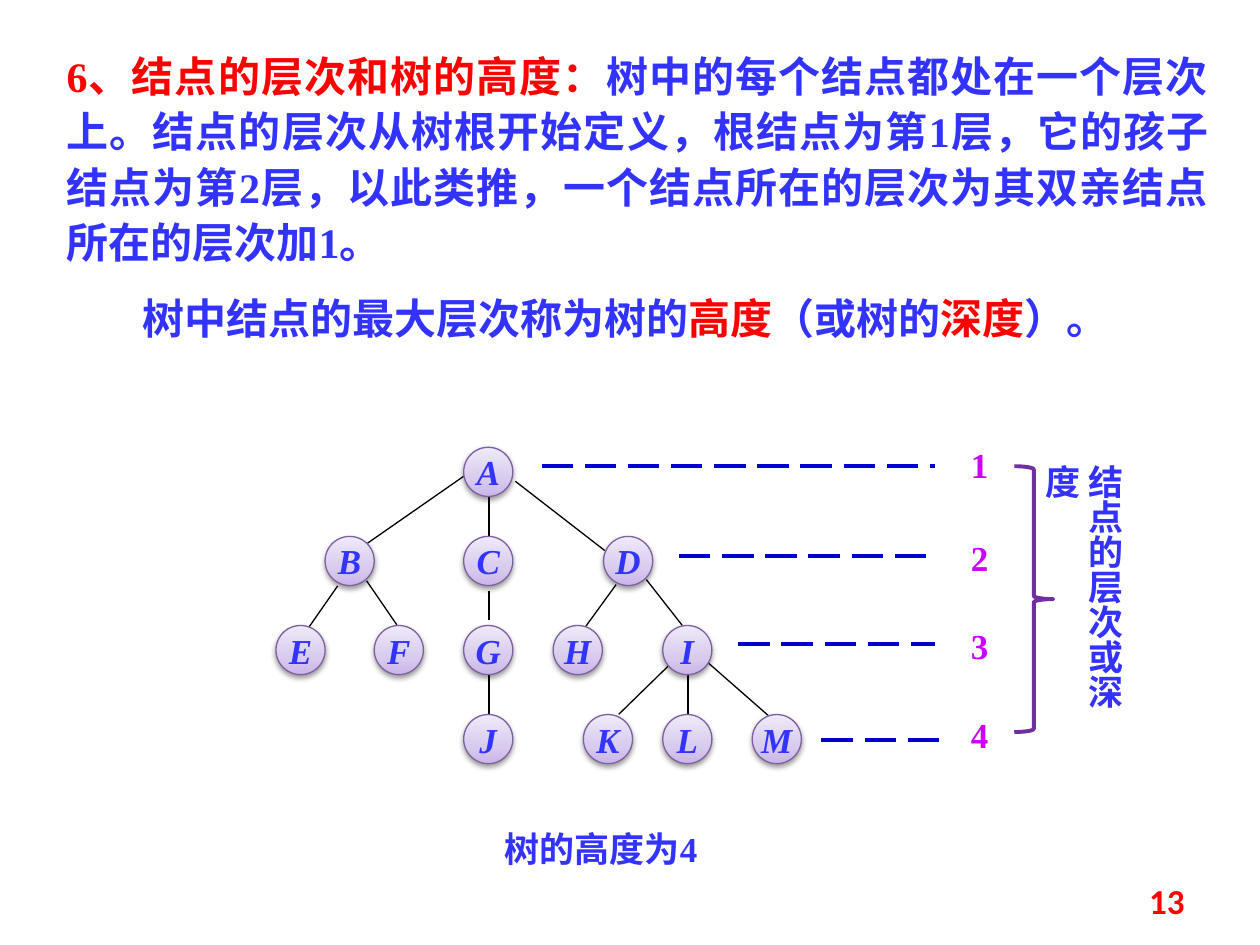
from copy import deepcopy

from lxml import etree
from pptx import Presentation
from pptx.dml.color import RGBColor
from pptx.enum.dml import MSO_LINE
from pptx.enum.shapes import MSO_CONNECTOR, MSO_SHAPE
from pptx.enum.text import MSO_ANCHOR, PP_ALIGN
from pptx.oxml.ns import qn
from pptx.util import Inches, Pt

STRAIGHT = MSO_CONNECTOR.STRAIGHT
ELLIPSE, BRACE = MSO_SHAPE.OVAL, MSO_SHAPE.RIGHT_BRACE
LONG_DASH = MSO_LINE.LONG_DASH
TOP, MIDDLE = MSO_ANCHOR.TOP, MSO_ANCHOR.MIDDLE
CENTER, RIGHT, JUSTIFY, LEFT = PP_ALIGN.CENTER, PP_ALIGN.RIGHT, PP_ALIGN.JUSTIFY, PP_ALIGN.LEFT

RED = RGBColor(0xFF, 0x00, 0x00)
BLUE = RGBColor(0x33, 0x33, 0xFF)
DASH_BLUE = RGBColor(0x00, 0x00, 0xCC)
MAGENTA = RGBColor(0xCC, 0x00, 0xFF)
BRACE_PURPLE = RGBColor(0x70, 0x30, 0xA0)
NODE_EDGE = RGBColor(0x7D, 0x60, 0xA0)
BLACK = RGBColor(0x00, 0x00, 0x00)
NODE_GRADIENT = [(0, RGBColor(0xC9, 0xB5, 0xE8)), (0.35, RGBColor(0xD8, 0xCB, 0xEE)),
                 (1, RGBColor(0xF0, 0xEA, 0xF9))]

SERIF, CJK = "Times New Roman", "Noto Sans CJK SC"
BODY = {"name": SERIF, "size": Pt(24), "bold": True}
LABEL = {"name": SERIF, "size": Pt(20), "bold": True}
NODE = {**LABEL, "italic": True}
VERTICAL = {**LABEL, "name": CJK}
PAGE = {"name": "Calibri", "size": Pt(20), "bold": True}

# Content
DEFINITION = [
    [("6、结点的层次和树的高度：", RED),
     ("树中的每个结点都处在一个层次上。结点的层次从树根开始定义，根结点为第1层，"
      "它的孩子结点为第2层，以此类推，一个结点所在的层次为其双亲结点所在的层次加1。", BLUE)],
    [("树中结点的最大层次称为树的", BLUE), ("高度", RED), ("（或树的", BLUE),
     ("深度", RED), ("）。", BLUE)],
]
TREE_LEVELS = [  # node name: left edge
    {"A": 3.68},
    {"B": 2.58, "C": 3.68, "D": 4.79},
    {"E": 2.19, "F": 2.97, "G": 3.68, "H": 4.39, "I": 5.26},
    {"J": 3.68, "K": 4.63, "L": 5.26, "M": 5.97},
]
BRANCHES = {  # parent and child: start, end
    "AB": (3.68, 3.78, 2.89, 4.33), "AC": (3.88, 3.94, 3.88, 4.26),
    "AD": (4.09, 3.82, 4.80, 4.37), "BE": (2.68, 4.65, 2.45, 4.98),
    "BF": (2.91, 4.61, 3.15, 4.96), "CG": (3.88, 4.69, 3.88, 4.92),
    "DH": (4.89, 4.64, 4.65, 4.97), "DI": (5.13, 4.60, 5.42, 4.97),
    "GJ": (3.88, 5.36, 3.88, 5.67), "IK": (5.31, 5.28, 4.91, 5.67),
    "IL": (5.46, 5.36, 5.46, 5.67), "IM": (5.62, 5.26, 6.11, 5.69),
}
LEVEL_GUIDES = [  # label top, dash start, dash end, dash height
    (3.47, 4.30, 7.42, 3.70), (4.21, 5.39, 7.42, 4.41),
    (4.91, 5.86, 7.42, 5.11), (5.61, 6.52, 7.50, 5.87),
]
TREE_TOP, LEVEL_STEP, NODE_SIZE = 3.55, 0.707, 0.39

prs = Presentation()
prs.slide_width, prs.slide_height = Inches(10), Inches(7.5)
slide = prs.slides.add_slide(prs.slide_layouts[6])
shapes = slide.shapes


def add_run(paragraph, text, color, style):
    run = paragraph.add_run()
    run.text = text
    run.font.color.rgb = color
    for attribute, value in style.items():
        setattr(run.font, attribute, value)
    etree.SubElement(run.font._element, qn("a:ea"), typeface=CJK)


def add_text(box, paragraphs, style, align=LEFT, anchor=TOP):
    """Add a text box; paragraphs are lists of (text, colour)."""
    frame = shapes.add_textbox(*map(Inches, box)).text_frame
    frame.word_wrap = True
    frame.vertical_anchor = anchor
    for index, runs in enumerate(paragraphs):
        paragraph = frame.add_paragraph() if index else frame.paragraphs[0]
        paragraph.alignment = align
        for text, color in runs:
            add_run(paragraph, text, color, style)
    return frame


def add_line(ends, color, width, dash=None):
    line = shapes.add_connector(STRAIGHT, *map(Inches, ends))
    line.line.color.rgb = color
    line.line.width = Pt(width)
    if dash:
        line.line.dash_style = dash
    etree.SubElement(line._element.spPr, qn("a:effectLst"))


def add_node(name, left, top):
    node = shapes.add_shape(ELLIPSE, *map(Inches, (left, top, NODE_SIZE, NODE_SIZE)))
    node.fill.gradient()
    node.fill.gradient_angle = 90
    stop_list = node._element.spPr.find(".//" + qn("a:gsLst"))
    stop_list.append(deepcopy(stop_list[-1]))
    for stop, (position, color) in zip(node.fill.gradient_stops, NODE_GRADIENT):
        stop.position = position
        stop.color.rgb = color
    node.line.color.rgb = NODE_EDGE
    node.line.width = Pt(0.75)
    # Soft shadow below the node
    node.shadow.inherit = False
    effects = node._element.spPr.find(qn("a:effectLst"))
    shadow = etree.SubElement(effects, qn("a:outerShdw"), blurRad=str(Pt(3.1)),
                              dist=str(Pt(1.6)), dir="5400000", rotWithShape="0")
    tint = etree.SubElement(shadow, qn("a:srgbClr"), val="000000")
    etree.SubElement(tint, qn("a:alpha"), val="38000")
    frame = node.text_frame
    frame.word_wrap = False
    frame.vertical_anchor = MIDDLE
    frame.paragraphs[0].alignment = CENTER
    add_run(frame.paragraphs[0], name, BLUE, NODE)


# Definition text
definition = add_text((0.43, 0.31, 9.26, 2.52), DEFINITION, BODY, JUSTIFY)
for paragraph in definition.paragraphs:
    paragraph.line_spacing = 1.1
height_sentence = definition.paragraphs[1]
height_sentence.space_before = Pt(12)
height_sentence._p.get_or_add_pPr().set("indent", str(Inches(0.6)))

# Tree
for ends in BRANCHES.values():
    add_line(ends, BLACK, 0.75)
for depth, level in enumerate(TREE_LEVELS):
    for name, left in level.items():
        add_node(name, left, TREE_TOP + depth * LEVEL_STEP)

# Level numbers and dashed guides
for number, (top, start, end, height) in enumerate(LEVEL_GUIDES, 1):
    add_text((7.58, top, 0.39, 0.43), [[(str(number), MAGENTA)]], LABEL, CENTER)
    add_line((start, height, end, height), DASH_BLUE, 2.25, LONG_DASH)

# Caption, brace with vertical label, page number
add_text((3.44, 6.52, 2.66, 0.44), [[("树的高度为4", BLUE)]], LABEL, CENTER)
brace = shapes.add_shape(BRACE, *map(Inches, (8.05, 3.7, 0.31, 2.11)))
brace.fill.background()
brace.line.color.rgb = BRACE_PURPLE
brace.line.width = Pt(2.25)
brace.shadow.inherit = False
depth_label = add_text((8.44, 3.59, 0.54, 2.34), [[("结点的层次或深度", BLUE)]], VERTICAL)
depth_label._txBody.bodyPr.set("vert", "eaVert")
add_text((7.17, 6.95, 2.33, 0.4), [[("13", RED)]], PAGE, RIGHT, MIDDLE)

prs.save("out.pptx")
